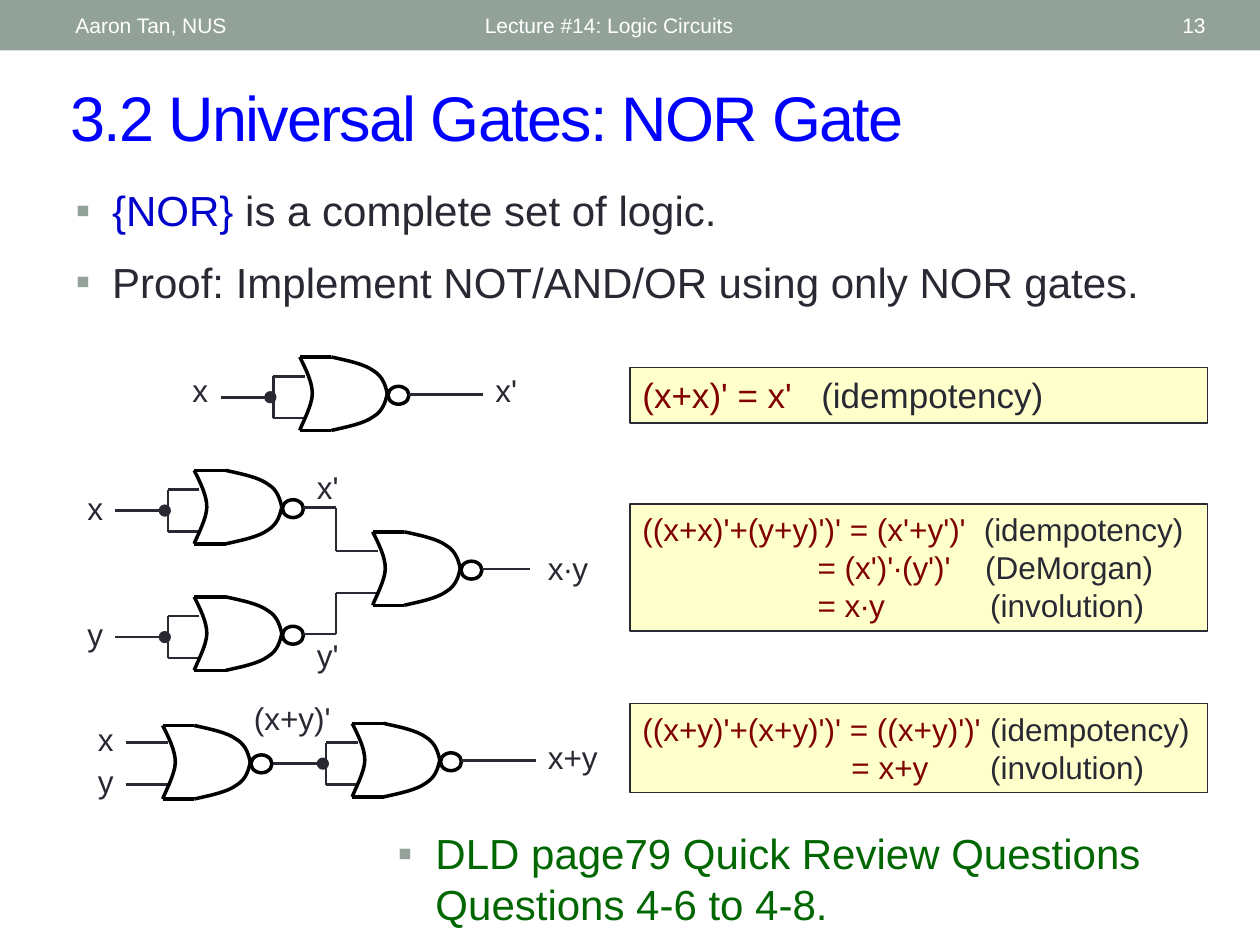
import itertools

import pptx
import pptx.dml.color
import pptx.enum.shapes
import pptx.enum.text
import pptx.oxml
import pptx.oxml.ns
import pptx.util

COLOURS = {
    "sage": "93A299", "white": "FFFFFF", "title": "0000FF", "accent": "0000CC",
    "ink": "292934", "formula": "800000", "note": "FFFFCC", "green": "006600",
    "gate": "000000",
}
COLUMNS, ROWS = 120, 90
CELL = pptx.util.Inches(10) // COLUMNS
FONT = "Arial"
ALIGN = pptx.enum.text.PP_ALIGN
ANCHOR = pptx.enum.text.MSO_ANCHOR
SHAPE = pptx.enum.shapes.MSO_SHAPE

# Gate geometry, in grid cells from the gate's top left corner
UPPER, MIDDLE, LOWER = 1.83, 3.83, 5.83
FORK, TAP, LEAD = -2.5, 0.5, 5
BUBBLE_LEFT, OUTPUT, OUTPUT_ROW = 8.4, 10.4, 3.55
BACK = [(0, 0), (0.6, 1.2), (1.2, 2.4), (1.2, 3.5), (1.2, 4.6), (0.2, 6.4), (0, 7)]
NOSE = [(3, 0), (4.55, 0.35), (6.1, 0.65), (7, 1.3), (8, 1.9), (8.2, 2.85), (8.4, 3.8)]


def cells(*counts):
    return [pptx.util.Emu(round(count * CELL)) for count in counts]


def rgb(name):
    return pptx.dml.color.RGBColor.from_string(COLOURS[name])


def add_span(para, text, size, colour):
    span = para.add_run()
    span.text = text
    span.font.name = FONT
    span.font.size = pptx.util.Pt(size)
    span.font.color.rgb = rgb(colour)
    return span


def set_bullet(para, hang):
    """Give a paragraph a small square bullet with a hanging indent in inches."""
    properties = para._p.get_or_add_pPr()
    properties.set("marL", str(pptx.util.Inches(hang)))
    properties.set("indent", str(-pptx.util.Inches(hang)))
    namespace = pptx.oxml.ns.nsdecls("a")
    for xml in (
        f'<a:buClr {namespace}><a:srgbClr val="{COLOURS["sage"]}"/></a:buClr>',
        f'<a:buFont {namespace} typeface="{FONT}"/>',
        f'<a:buChar {namespace} char="▪"/>',
    ):
        properties.append(pptx.oxml.parse_xml(xml))


def set_tabs(para, stops):
    tabs = "".join(f'<a:tab pos="{pptx.util.Inches(stop)}" algn="l"/>' for stop in stops)
    para._p.get_or_add_pPr().append(pptx.oxml.parse_xml(
        f'<a:tabLst {pptx.oxml.ns.nsdecls("a")}>{tabs}</a:tabLst>'))


def add_label(shapes, text, place, size=18, colour="ink", align=ALIGN.LEFT,
              anchor=ANCHOR.TOP):
    box = shapes.add_textbox(*cells(*place))
    box.text_frame.word_wrap = True
    box.text_frame.vertical_anchor = anchor
    para = box.text_frame.paragraphs[0]
    para.alignment = align
    add_span(para, text, size, colour)


def add_filled(shapes, kind, place, fill=None, line=None, width=1):
    shape = shapes.add_shape(kind, *cells(*place))
    shape.shadow.inherit = False
    if fill:
        shape.fill.solid()
        shape.fill.fore_color.rgb = rgb(fill)
    else:
        shape.fill.background()
    if line:
        shape.line.color.rgb = rgb(line)
        shape.line.width = pptx.util.Pt(width)
    else:
        shape.line.fill.background()
    return shape


def add_wire(shapes, *points, colour="ink", width=1.5):
    """Join the points, one straight line after another."""
    for start, end in itertools.pairwise(points):
        wire = shapes.add_connector(
            pptx.enum.shapes.MSO_CONNECTOR.STRAIGHT, *cells(*start, *end))
        wire.line.color.rgb = rgb(colour)
        wire.line.width = pptx.util.Pt(width)
        wire._element.spPr.append(pptx.oxml.parse_xml(
            f'<a:effectLst {pptx.oxml.ns.nsdecls("a")}/>'))


def add_curve(shapes, points):
    """Draw a chain of cubic curves; each reuses the end of the one before."""
    builder = shapes.build_freeform(*cells(*points[0]))
    builder.add_line_segments([cells(*point) for point in points[1:]], close=False)
    curve = builder.convert_to_shape()
    segments = curve._element.xpath(".//a:lnTo")
    for first in range(0, len(segments), 3):
        cubic = pptx.oxml.parse_xml(
            f'<a:cubicBezTo {pptx.oxml.ns.nsdecls("a")}/>')
        segments[first].addprevious(cubic)
        for segment in segments[first:first + 3]:
            cubic.append(segment[0])
            segment.getparent().remove(segment)
    curve.shadow.inherit = False
    curve.fill.background()
    curve.line.color.rgb = rgb("gate")
    curve.line.width = pptx.util.Pt(2)


def add_nor_gate(shapes, x, y):
    """Draw a NOR gate and return the point where its output starts."""
    add_curve(shapes, [(x + dx, y + dy) for dx, dy in BACK])
    for edge, sign in ((y, 1), (y + 7, -1)):
        add_wire(shapes, (x, edge), (x + 3, edge), colour="gate", width=2)
        add_curve(shapes, [(x + dx, edge + sign * dy) for dx, dy in NOSE])
    add_filled(shapes, SHAPE.OVAL, (x + BUBBLE_LEFT, y + 2.8, 2, 1.7),
               line="gate", width=2)
    return x + OUTPUT, y + OUTPUT_ROW


def add_tied_gate(shapes, x, y):
    """Draw a NOR gate whose two inputs share one lead."""
    fork, middle = x + FORK, y + MIDDLE
    add_wire(shapes, (fork - LEAD, middle), (fork, middle))
    add_wire(shapes, (x + TAP, y + UPPER), (fork, y + UPPER),
             (fork, y + LOWER), (x + TAP, y + LOWER))
    add_filled(shapes, SHAPE.OVAL, (fork - 0.8, middle - 0.5, 1, 1), "ink", "ink")
    return add_nor_gate(shapes, x, y)


def add_not_circuit(page):
    circuit = page.shapes.add_group_shape().shapes
    column, row = add_tied_gate(circuit, 28.55, 34)
    add_wire(circuit, (column, row), (46, row))
    add_label(circuit, "x", (17, 34.7, 4, 4.8), align=ALIGN.RIGHT)
    add_label(circuit, "x'", (46, 34.7, 6, 4.8))


def add_and_circuit(page):
    circuit = page.shapes.add_group_shape().shapes
    x, y = 35.5, 50.65
    branches = (("x", 44.8, 46, 44, UPPER), ("y", 56.85, 58, 60, LOWER))
    for name, top, name_row, negated_row, tap in branches:
        column, row = add_tied_gate(circuit, 18.5, top)
        add_wire(circuit, (column, row), (32, row), (32, y + tap), (x + TAP, y + tap))
        add_label(circuit, name, (7, name_row, 4, 4.8), align=ALIGN.RIGHT)
        add_label(circuit, name + "'", (29, negated_row, 5, 4.8))
    column, row = add_nor_gate(circuit, x, y)
    add_wire(circuit, (column, row), (50.5, row))
    add_label(circuit, "x∙y", (51, 51.7, 8, 4.8))


def add_or_circuit(page):
    circuit = page.shapes.add_group_shape().shapes
    x, y = 15.5, 69.1
    for name, wire_row, name_row in (("x", 70.7, 68), ("y", 74.7, 72)):
        add_wire(circuit, (12, wire_row), (x + TAP, wire_row))
        add_label(circuit, name, (8, name_row, 4, 4.8), align=ALIGN.RIGHT)
    add_nor_gate(circuit, x, y)
    column, row = add_tied_gate(circuit, 33.55, 68.9)
    add_wire(circuit, (column, row), (51, row))
    add_label(circuit, "(x+y)'", (23, 66, 10, 4.8))
    add_label(circuit, "x+y", (51, 69.7, 8, 4.8))


def add_proof(page, top, height, size, indent, steps):
    """Write a note of (formula, law, law position) steps; later formulas indent."""
    note = add_filled(page.shapes, SHAPE.RECTANGLE, (60, top, 55, height),
                      "note", "ink", 0.75)
    frame = note.text_frame
    frame.word_wrap = True
    frame.vertical_anchor = ANCHOR.TOP
    for index, (formula, law, stop) in enumerate(steps):
        para = frame.add_paragraph() if index else frame.paragraphs[0]
        para.alignment = ALIGN.LEFT
        set_tabs(para, [indent, stop] if index else [stop])
        add_span(para, ("\t" if index else "") + formula, size, "formula")
        add_span(para, "\t" + law, size, "ink")


def add_header(page):
    add_filled(page.shapes, SHAPE.RECTANGLE, (0, 0, COLUMNS, 4.8), "sage")
    for text, left, width, align in (
        ("Aaron Tan, NUS", 6, 38, ALIGN.LEFT),
        ("Lecture #14: Logic Circuits", 45, 54, ALIGN.LEFT),
        ("13", 104.6, 11.4, ALIGN.RIGHT),
    ):
        add_label(page.shapes, text, (left, 0.25, width, 4.3), 12, "white",
                  align, ANCHOR.MIDDLE)


def move(shape, *place):
    shape.left, shape.top, shape.width, shape.height = cells(*place)


def fill_placeholders(page):
    title, body = page.shapes.title, page.placeholders[1]
    move(title, 5.5, 6.85, 108.9, 8.4)
    title.text_frame.vertical_anchor = ANCHOR.MIDDLE
    para = title.text_frame.paragraphs[0]
    para.alignment = ALIGN.LEFT
    span = add_span(para, "3.2 Universal Gates: NOR Gate", 36, "title")
    span._r.get_or_add_rPr().set("spc", "-100")

    move(body, 6, 17, 108, 16)
    first, second = body.text_frame.paragraphs[0], body.text_frame.add_paragraph()
    for para, gap in ((first, 4.8), (second, 12)):
        para.space_before = pptx.util.Pt(gap)
        set_bullet(para, 0.29)
    add_span(first, "{NOR} ", 24, "accent")
    add_span(first, "is a complete set of logic.", 24, "ink")
    add_span(second, "Proof: Implement NOT/AND/OR using only NOR gates.", 24, "ink")


def add_review(page):
    box = page.shapes.add_textbox(*cells(36.7, 78.25, 80.4, 10.8))
    box.text_frame.word_wrap = True
    para = box.text_frame.paragraphs[0]
    set_bullet(para, 0.3)
    add_span(para, "DLD page79 Quick Review Questions", 24, "green")
    para.add_line_break()
    add_span(para, "Questions 4-6 to 4-8.", 24, "green")


def main():
    deck = pptx.Presentation()
    deck.slide_width, deck.slide_height = cells(COLUMNS, ROWS)
    page = deck.slides.add_slide(deck.slide_layouts[1])
    add_header(page)
    fill_placeholders(page)
    add_proof(page, 35, 5.3, 20, 0, [("(x+x)' = x'", "(idempotency)", 1.42)])
    add_proof(page, 67, 8.5, 18, 1.66, [
        ("((x+y)'+(x+y)')' = ((x+y)')'", "(idempotency)", 2.76),
        ("= x+y", "(involution)", 2.76),
    ])
    add_proof(page, 48, 12.1, 18, 1.39, [
        ("((x+x)'+(y+y)')' = (x'+y')'", "(idempotency)", 2.71),
        ("= (x')'∙(y')'", "(DeMorgan)", 2.72),
        ("= x∙y", "(involution)", 2.76),
    ])
    add_not_circuit(page)
    add_and_circuit(page)
    add_or_circuit(page)
    add_review(page)
    deck.save("out.pptx")


if __name__ == "__main__":
    main()
